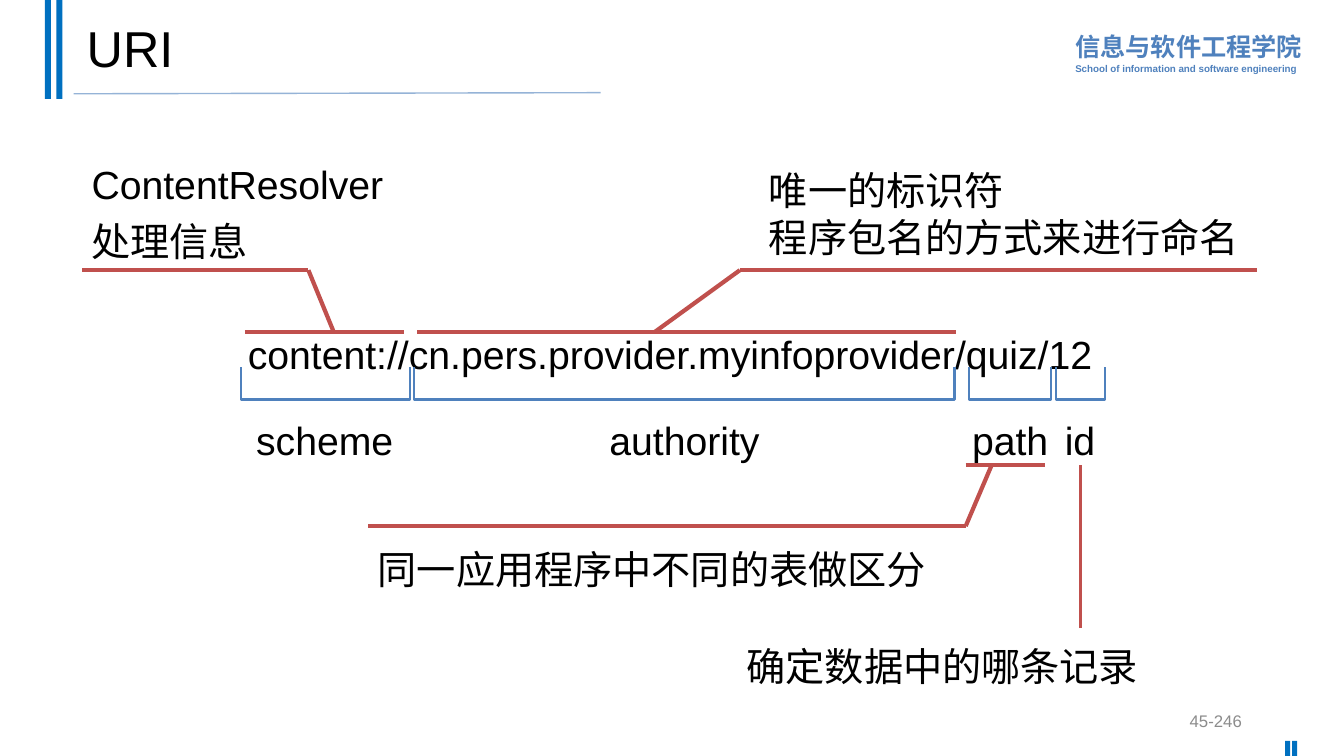
from typing import NamedTuple

from lxml.etree import SubElement
from pptx import Presentation
from pptx.dml.color import RGBColor
from pptx.enum.shapes import MSO_CONNECTOR, MSO_SHAPE
from pptx.enum.text import MSO_ANCHOR, PP_ALIGN
from pptx.oxml.ns import qn
from pptx.util import Pt

BLACK = RGBColor(0x00, 0x00, 0x00)
GRAY = RGBColor(0x8C, 0x8C, 0x8C)
BAR_BLUE = RGBColor(0x00, 0x70, 0xC0)
BLUE = RGBColor(0x4F, 0x81, 0xBD)
PALE_BLUE = RGBColor(0x95, 0xB3, 0xD7)
RED = RGBColor(0xC0, 0x50, 0x4D)

TERM_Y, ELBOW_Y = 236.9, 193
PATH_Y, PATH_NOTE_Y = 331.9, 375.8
BRACKET_TOP, BRACKET_H = 262.4, 23
LABEL_TOP, LABEL_H = 287.3, 43.9


class Box(NamedTuple):
    left: float
    top: float
    width: float
    height: float


class UriPart(NamedTuple):
    name: str
    bracket_left: float
    bracket_width: float
    label_left: float
    label_width: float


class Note(NamedTuple):
    box: Box
    lines: tuple[str, ...]
    spacing: float = 1.2
    before: float = 6


class Callout(NamedTuple):
    """A line along a term, a slanted leader and a line along its note."""
    term_left: float
    term_right: float
    term_y: float
    leader_x: float
    elbow_x: float
    note_end_x: float
    note_y: float


BARS = (
    Box(32, 0, 4.3, 70.6),
    Box(40.3, 0, 4.3, 70.6),
    Box(918, 529.2, 3.6, 10.8),
    Box(923, 529.2, 3.6, 10.8),
)
PARTS = (
    UriPart("scheme", 172.4, 120.2, 175, 113.8),
    UriPart("authority", 295.9, 385.9, 414, 149.8),
    UriPart("path", 691.9, 59, 682.6, 77.8),
    UriPart("id", 754.6, 34.6, 746.6, 49.7),
)
NOTES = (
    Note(Box(58.3, 104.4, 234, 88.6), ("ContentResolver处理信息",)),
    Note(Box(542.2, 115.2, 357.8, 74.9),
         ("唯一的标识符", "程序包名的方式来进行命名"), 1, 0),
    Note(Box(262.8, 379.4, 410.4, 48.2), ("同一应用程序中不同的表做区分",)),
    Note(Box(526.3, 448.6, 311.8, 48.2), ("确定数据中的哪条记录",)),
)
CALLOUTS = (
    Callout(175, 288.7, TERM_Y, 238.3, 220.3, 58.3, ELBOW_Y),
    Callout(298.1, 682.6, TERM_Y, 468, 528.5, 897.8, ELBOW_Y),
    Callout(689.8, 746.6, PATH_Y, 708.5, 689.8, 262.8, PATH_NOTE_Y),
)


def write(p, text: str, *, size: float = 28, color: RGBColor = BLACK,
          bold: bool = False, align: PP_ALIGN = PP_ALIGN.LEFT,
          spacing: float = 1, before: float = 0) -> None:
    p.alignment, p.line_spacing, p.space_before = align, spacing, Pt(before)
    r = p.add_run()
    r.text = text
    r.font.name, r.font.size, r.font.bold = "Arial", Pt(size), bold
    r.font.color.rgb = color


def add_text(slide, box: Box, *lines: str, anchor: MSO_ANCHOR = MSO_ANCHOR.TOP,
             **fmt):
    tf = slide.shapes.add_textbox(*map(Pt, box)).text_frame
    tf.word_wrap, tf.vertical_anchor = True, anchor
    for i, line in enumerate(lines):
        write(tf.add_paragraph() if i else tf.paragraphs[0], line, **fmt)
    return tf


def add_line(slide, x1: float, y1: float, x2: float, y2: float,
             color: RGBColor = RED, width: float = 3) -> None:
    line = slide.shapes.add_connector(
        MSO_CONNECTOR.STRAIGHT, Pt(x1), Pt(y1), Pt(x2), Pt(y2))
    line.line.color.rgb, line.line.width = color, Pt(width)
    SubElement(line._element.spPr, qn("a:effectLst"))


def add_bar(slide, box: Box) -> None:
    sp = slide.shapes.add_shape(MSO_SHAPE.RECTANGLE, *map(Pt, box))
    sp.shadow.inherit = False
    sp.fill.solid()
    sp.fill.fore_color.rgb = BAR_BLUE
    sp.line.fill.background()


def add_bracket(slide, left: float, width: float) -> None:
    # Turned a quarter, so its width and height swap about the centre
    shift = (width - BRACKET_H) / 2
    sp = slide.shapes.add_shape(
        MSO_SHAPE.RIGHT_BRACKET, Pt(left + shift), Pt(BRACKET_TOP - shift),
        Pt(BRACKET_H), Pt(width))
    sp.rotation = 90
    sp.adjustments[0] = 0
    sp.shadow.inherit = False
    sp.fill.background()
    sp.line.color.rgb, sp.line.width = BLUE, Pt(1.5)


def add_callout(slide, c: Callout) -> None:
    add_line(slide, c.term_left, c.term_y, c.term_right, c.term_y)
    add_line(slide, c.leader_x, c.term_y, c.elbow_x, c.note_y)
    add_line(slide, c.elbow_x, c.note_y, c.note_end_x, c.note_y)


def main() -> None:
    prs = Presentation()
    prs.slide_width, prs.slide_height = Pt(960), Pt(540)
    slide = prs.slides.add_slide(prs.slide_layouts[5])

    # Header and frame
    tf = add_text(slide, Box(761, 16.6, 180, 40.3), "信息与软件工程学院",
                  size=18, color=BLUE, bold=True, spacing=1.1)
    write(tf.add_paragraph(), "School of information and software engineering",
          size=7, color=BLUE, bold=True, spacing=1.1)
    for bar in BARS:
        add_bar(slide, bar)
    add_line(slide, 52.6, 67, 429.1, 66.2, PALE_BLUE, 1)

    # Title
    title = slide.shapes.title
    title.left, title.top, title.width, title.height = map(
        Pt, (54.7, 5, 828, 63.4))
    title.text_frame.vertical_anchor = MSO_ANCHOR.MIDDLE
    write(title.text_frame.paragraphs[0], "URI", size=36, spacing=0.9)

    # Page number
    add_text(slide, Box(678.2, 500.4, 216, 28.8), "45-246", size=12,
             color=GRAY, align=PP_ALIGN.RIGHT, anchor=MSO_ANCHOR.MIDDLE)

    # URI with its bracketed parts
    add_text(slide, Box(169.9, 232.6, 651.6, 41),
             "content://cn.pers.provider.myinfoprovider/quiz/12")
    for part in PARTS:
        add_bracket(slide, part.bracket_left, part.bracket_width)
        add_text(slide, Box(part.label_left, LABEL_TOP, part.label_width, LABEL_H),
                 part.name, align=PP_ALIGN.CENTER, spacing=1.2, before=6)

    # Notes and their callout lines
    for note in NOTES:
        add_text(slide, note.box, *note.lines,
                 spacing=note.spacing, before=note.before)
    for callout in CALLOUTS:
        add_callout(slide, callout)
    add_line(slide, 771.8, 448.6, 771.8, PATH_Y, width=2.5)

    prs.save("out.pptx")


if __name__ == "__main__":
    main()
